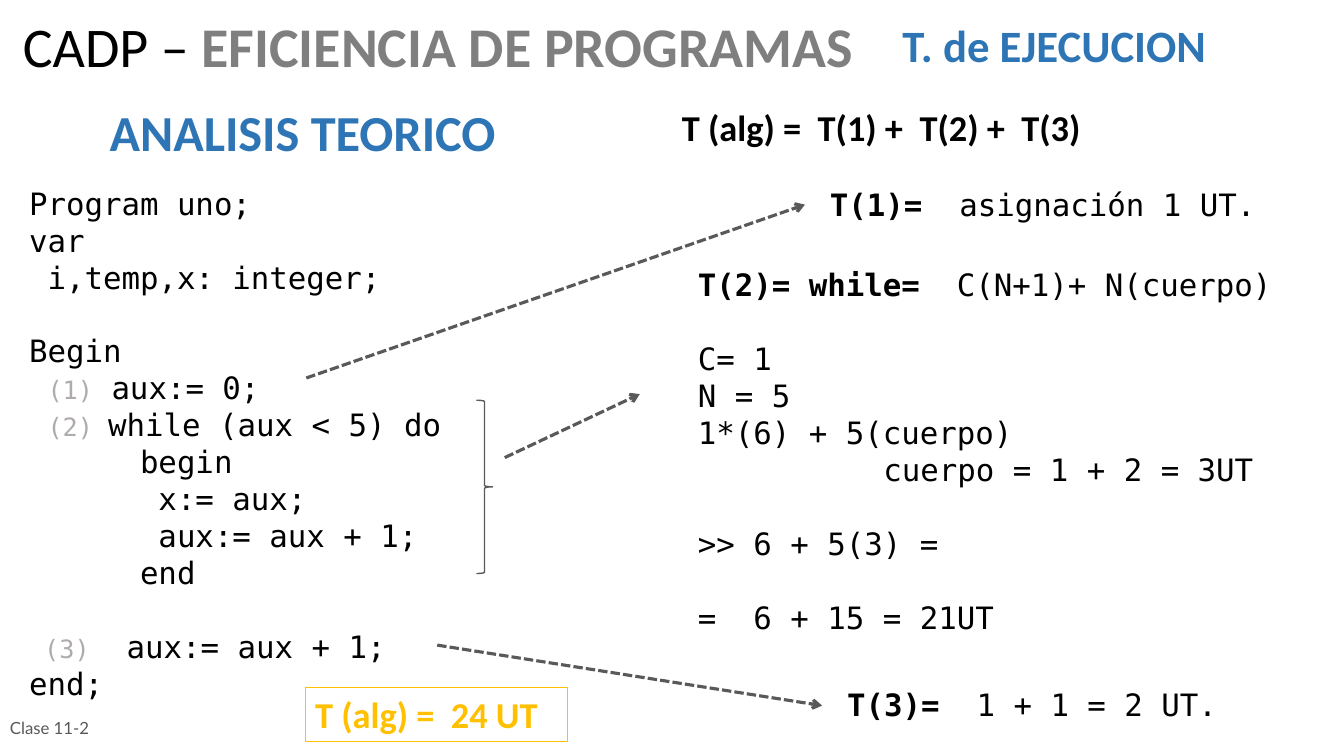
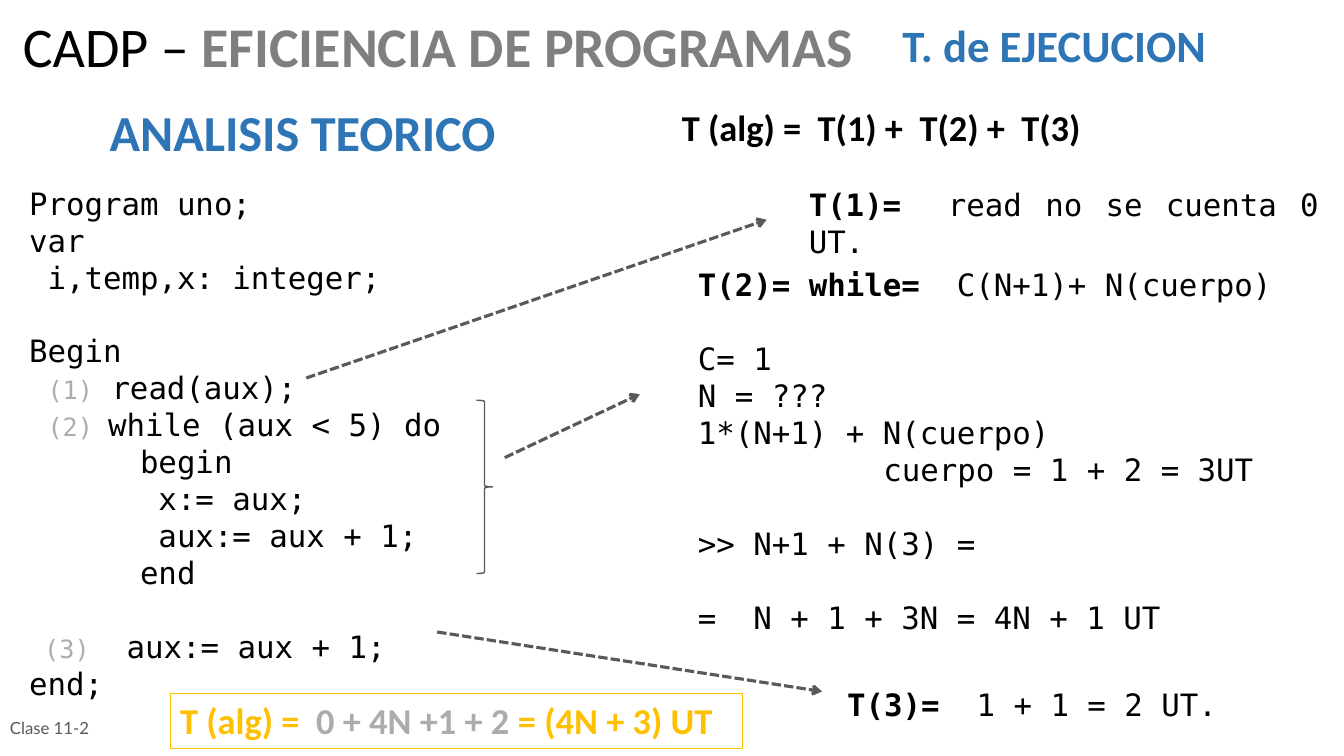
from pptx import Presentation
from pptx.dml.color import RGBColor
from pptx.enum.dml import MSO_LINE
from pptx.enum.shapes import MSO_CONNECTOR, MSO_SHAPE
from pptx.enum.text import MSO_ANCHOR, PP_ALIGN
from pptx.oxml.ns import qn
from pptx.util import Inches, Pt
from lxml import etree

JUSTIFY, LEFT = PP_ALIGN.JUSTIFY, PP_ALIGN.LEFT
MIDDLE, TOP = MSO_ANCHOR.MIDDLE, MSO_ANCHOR.TOP
STRAIGHT, DASH = MSO_CONNECTOR.STRAIGHT, MSO_LINE.SQUARE_DOT
RECTANGLE, BRACE = MSO_SHAPE.RECTANGLE, MSO_SHAPE.RIGHT_BRACE

BLACK, GREY, BLUE, GOLD = "000000", "7F7F7F", "2E75B6", "FFC000"
PALE, DARK = "AFABAB", "595959"
LINE_GAP = 26.4  # points, one line of code
INDENT = 1.84    # inches, ten characters of code

# Text styles: font, size, colour, bold
TITLE = ("Calibri", 40, BLACK, False)
TOPIC = ("Calibri", 32, BLUE, True)
HEADING = ("Calibri", 36, BLUE, True)
FORMULA = ("Calibri", 26, BLACK, True)
RESULT = ("Calibri", 26, GOLD, True)
CODE = ("DejaVu Sans Mono", 22, BLACK, False)
FOOTER = ("Lato", 12, DARK, False)

# Run changes
BOLD = {"bold": True}
STRONG_GREY = {"bold": True, "color": GREY}
SOFT = {"color": PALE}
SMALL = {"size": 18}
STEP = {"size": 18, "color": PALE}

# A paragraph is a list of (text, run changes); None is a one-line gap
SHARED_TEXT = [
    ((0.13, 0.14, 9.37, 0.76), TITLE, LEFT, TOP,
     [[("CADP – ", {}), ("EFICIENCIA DE PROGRAMAS", STRONG_GREY)]]),
    ((0, 7.02, 2.33, 0.4), FOOTER, LEFT, MIDDLE, [[("Clase 11-2", {})]]),
    ((8.86, 0.13, 3.4, 0.64), TOPIC, JUSTIFY, TOP,
     [[("T. de EJECUCION", {})]]),
    ((0.99, 0.95, 7.09, 0.7), HEADING, JUSTIFY, TOP,
     [[("ANALISIS TEORICO", {})]]),
    ((6.67, 0.99, 5.52, 0.54), FORMULA, JUSTIFY, TOP,
     [[("T (alg) =  T(1) +  T(2) +  T(3)", {})]]),
    ((8.31, 6.75, 5.03, 0.47), CODE, JUSTIFY, TOP,
     [[("T(3)= ", BOLD), (" 1 + 1 = 2 UT.", {})]]),
]
PROGRAM_AREA = (0.19, 1.78, 5.99, 5.23)
WHILE_AREA = (6.83, 2.59, 6.14, 3.77)
BRACE_AREA = (4.73, 3.97, 0.16, 1.72)
WHILE_ARROW = (5.01, 4.54, 6.35, 3.91)

SLIDES = [
    {
        "first_step": "aux:= 0;",
        "first_cost": " asignación 1 UT.",
        "first_area": (8.14, 1.79, 5.04, 0.47),
        "times": "N = 5",
        "expanded": "1*(6) + 5(cuerpo)",
        "replaced": ">> 6 + 5(3) =",
        "while_cost": "=  6 + 15 = 21UT",
        "result_area": (3.03, 6.82, 2.6, 0.54),
        "result": [("T (alg) =  24 UT", {})],
        "arrows": [(3.04, 3.75, 7.99, 2.03), (4.34, 6.4, 8.16, 7)],
    },
    {
        "first_step": "read(aux);",
        "first_cost": " read no se cuenta 0 UT.",
        "first_area": (7.93, 1.79, 5.26, 0.84),
        "times": "N = ???",
        "expanded": "1*(N+1) + N(cuerpo)",
        "replaced": ">> N+1 + N(3) =",
        "while_cost": "=  N + 1 + 3N = 4N + 1 UT",
        "result_area": (1.69, 6.88, 5.68, 0.54),
        "result": [("T (alg) =  ", {}), ("0 + 4N +1 + 2 ", SOFT),
                   ("= (4N + 3) UT", {})],
        "arrows": [(3.04, 3.75, 7.61, 2.18), (4.34, 6.27, 8.16, 6.86)],
    },
]


def program_lines(first_step):
    return [
        [("Program uno;", {})],
        [("var", {})],
        [(" i,temp,x: integer;", {})],
        None,
        [("Begin", {})],
        [(" ", {}), ("(1)", STEP), (" " + first_step, {})],
        [(" ", {}), ("(2) ", STEP), ("while (aux < 5) do", {})],
        [("      begin", {})],
        [("       x:= aux;", {})],
        [("       aux:= aux + 1;", {})],
        [("      end", {})],
        None,
        [(" ", SMALL), ("(3)", STEP), ("  aux:= aux + 1;", {})],
        [("end;", {})],
    ]


def while_lines(content):
    return [
        [("T(2)= while=  ", BOLD), ("C(N+1)+ N(cuerpo)", {})],
        None,
        [("C= 1", {})],
        [(content["times"], {})],
        [(content["expanded"], {})],
        [("cuerpo = 1 + 2 = 3UT", {"indent": INDENT})],
        None,
        [(content["replaced"], {})],
        None,
        [(content["while_cost"], {})],
    ]


def rgb(value):
    return RGBColor.from_string(value)


def inches(values):
    return [Inches(value) for value in values]


def write(shape, style, align, anchor, lines):
    """Fill a shape with paragraphs in one base style."""
    frame = shape.text_frame
    frame.word_wrap = True
    frame.vertical_anchor = anchor
    name, size, color, bold = style
    para, gap = None, 0
    for line in lines:
        if line is None:
            gap = LINE_GAP
            continue
        para = frame.add_paragraph() if para else frame.paragraphs[0]
        para.alignment = align
        if style is TITLE:
            para.line_spacing = 0.9
        if gap:
            para.space_before = Pt(gap)
            gap = 0
        font = para.font
        font.name, font.size, font.bold = name, Pt(size), bold
        font.color.rgb = rgb(color)
        for text, changes in line:
            span = para.add_run()
            span.text = text
            if "size" in changes:
                span.font.size = Pt(changes["size"])
            if "bold" in changes:
                span.font.bold = changes["bold"]
            if "color" in changes:
                span.font.color.rgb = rgb(changes["color"])
            if "indent" in changes:
                properties = para._p.get_or_add_pPr()
                properties.set("marL", str(Inches(changes["indent"])))
                properties.set("indent", "0")


def add_text(page, area, style, align, anchor, lines):
    write(page.shapes.add_textbox(*inches(area)), style, align, anchor, lines)


def add_outline(page, kind, area, color, width):
    shape = page.shapes.add_shape(kind, *inches(area))
    shape.shadow.inherit = False
    shape.fill.background()
    shape.line.color.rgb = rgb(color)
    shape.line.width = Pt(width)
    return shape


def add_arrow(page, ends):
    arrow = page.shapes.add_connector(STRAIGHT, *inches(ends))
    arrow.line.color.rgb = rgb(DARK)
    arrow.line.width = Pt(2.25)
    arrow.line.dash_style = DASH
    etree.SubElement(arrow.line._get_or_add_ln(), qn("a:tailEnd"), type="arrow")
    etree.SubElement(arrow._element.spPr, qn("a:effectLst"))


def build_slide(deck, content):
    page = deck.slides.add_slide(deck.slide_layouts[6])
    for item in SHARED_TEXT:
        add_text(page, *item)

    # Program and the cost of each step
    first_cost = [[("T(1)= ", BOLD), (content["first_cost"], {})]]
    for area, lines in [
        (PROGRAM_AREA, program_lines(content["first_step"])),
        (content["first_area"], first_cost),
        (WHILE_AREA, while_lines(content)),
    ]:
        add_text(page, area, CODE, JUSTIFY, TOP, lines)

    # Total
    total = add_outline(page, RECTANGLE, content["result_area"], GOLD, 0.5)
    write(total, RESULT, JUSTIFY, TOP, [content["result"]])

    # Brace and arrows from step to cost
    add_outline(page, BRACE, BRACE_AREA, DARK, 1)
    for ends in [WHILE_ARROW, *content["arrows"]]:
        add_arrow(page, ends)


def main():
    deck = Presentation()
    deck.slide_width, deck.slide_height = Inches(13.34), Inches(7.5)
    for content in SLIDES:
        build_slide(deck, content)
    deck.save("out.pptx")


if __name__ == "__main__":
    main()
